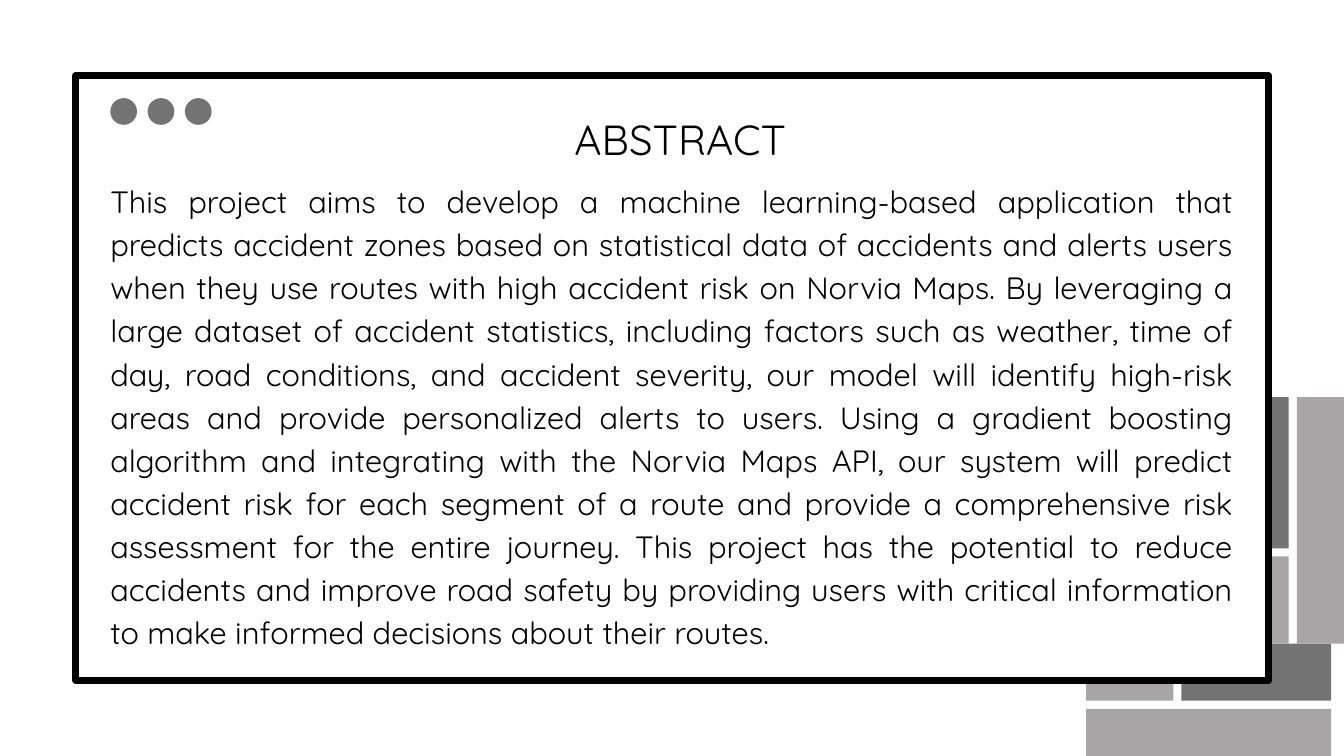
from dataclasses import dataclass

from pptx import Presentation
from pptx.dml.color import RGBColor
from pptx.enum.shapes import MSO_SHAPE
from pptx.enum.text import MSO_ANCHOR, PP_ALIGN
from pptx.util import Cm, Pt

FONT = "Quicksand"
BLACK, WHITE, DARK, LIGHT = "000000", "FFFFFF", "737373", "A7A5A6"

# One entry per sentence
SENTENCES = [
    "This project aims to develop a machine learning-based application that predicts "
    "accident zones based on statistical data of accidents and alerts users when they use "
    "routes with high accident risk on Norvia Maps.",
    "By leveraging a large dataset of accident statistics, including factors such as "
    "weather, time of day, road conditions, and accident severity, our model will identify "
    "high-risk areas and provide personalized alerts to users.",
    "Using a gradient boosting algorithm and integrating with the Norvia Maps API, our "
    "system will predict accident risk for each segment of a route and provide a "
    "comprehensive risk assessment for the entire journey.",
    "This project has the potential to reduce accidents and improve road safety by "
    "providing users with critical information to make informed decisions about their "
    "routes.",
]


@dataclass
class Area:
    """Position and size in centimetres."""
    left: float
    top: float
    width: float
    height: float

    def lengths(self) -> tuple:
        return Cm(self.left), Cm(self.top), Cm(self.width), Cm(self.height)


@dataclass
class Block:
    area: Area
    fill: str


@dataclass
class Label:
    area: Area
    text: str
    size: float
    spacing: float
    align: PP_ALIGN


def colour(value: str) -> RGBColor:
    return RGBColor.from_string(value)


def draw_shape(slide, kind: MSO_SHAPE, area: Area, fill: str, line_width: float = 0) -> None:
    shape = slide.shapes.add_shape(kind, *area.lengths())
    shape.shadow.inherit = False
    shape.fill.solid()
    shape.fill.fore_color.rgb = colour(fill)
    if line_width:
        shape.line.color.rgb = colour(BLACK)
        shape.line.width = Pt(line_width)
    else:
        shape.line.fill.background()


def draw_label(slide, label: Label) -> None:
    box = slide.shapes.add_textbox(*label.area.lengths())
    frame = box.text_frame
    frame.word_wrap = True
    frame.vertical_anchor = MSO_ANCHOR.TOP
    frame.margin_left = frame.margin_top = frame.margin_right = frame.margin_bottom = 0
    frame.text = label.text
    para = frame.paragraphs[0]
    para.alignment = label.align
    para.line_spacing = Pt(label.spacing)
    span = para.runs[0]
    span.font.name = FONT
    span.font.size = Pt(label.size)
    span.font.color.rgb = colour(BLACK)


# Corner bricks: one group beside the card, one below it
BRICKS = [
    Block(Area(44.65, 24.33, 5.67, 2.16), DARK),
    Block(Area(41.05, 24.33, 3.3, 2.16), LIGHT),
    Block(Area(41.05, 26.8, 9.27, 1.78), LIGHT),
    Block(Area(46.53, 15.01, 2.18, 5.72), DARK),
    Block(Area(46.53, 21.03, 2.18, 3.3), LIGHT),
    Block(Area(49.02, 15.01, 1.78, 9.32), LIGHT),
]
CARD = Area(2.86, 2.86, 45.09, 22.86)
DOT_LEFT, DOT_TOP, DOT_SIZE, DOT_STEP = 4.17, 3.71, 1.01, 1.41
LABELS = [
    Label(Area(8.64, 3.99, 34.14, 2.13), "ABSTRACT", 45, 63, PP_ALIGN.CENTER),
    Label(Area(4.17, 6.68, 42.44, 19.58), " ".join(SENTENCES), 33, 46.2, PP_ALIGN.JUSTIFY),
]


def main() -> None:
    deck = Presentation()
    deck.slide_width, deck.slide_height = Cm(50.8), Cm(28.58)
    page = deck.slides.add_slide(deck.slide_layouts[6])

    # Bricks behind the card
    for brick in BRICKS:
        draw_shape(page, MSO_SHAPE.RECTANGLE, brick.area, brick.fill)

    # Card with window dots
    draw_shape(page, MSO_SHAPE.RECTANGLE, CARD, WHITE, line_width=7.5)
    for index in range(3):
        dot = Area(DOT_LEFT + index * DOT_STEP, DOT_TOP, DOT_SIZE, DOT_SIZE)
        draw_shape(page, MSO_SHAPE.OVAL, dot, DARK)

    # Title and body
    for label in LABELS:
        draw_label(page, label)

    deck.save("out.pptx")


if __name__ == "__main__":
    main()
